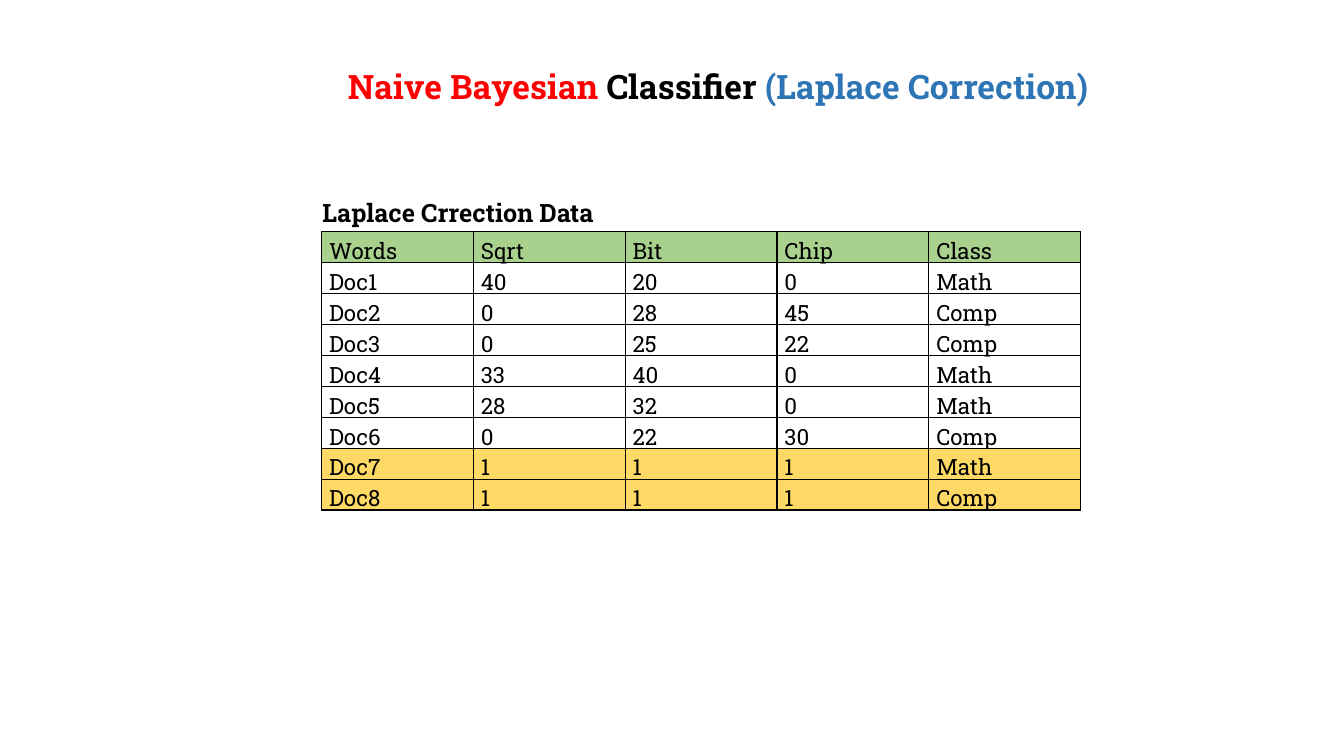
from lxml.etree import SubElement
from pptx import Presentation
from pptx.dml.color import RGBColor
from pptx.enum.text import MSO_AUTO_SIZE, PP_ALIGN
from pptx.oxml.ns import qn
from pptx.util import Pt

FONT = "Roboto Slab"
BLACK = RGBColor(0x00, 0x00, 0x00)
RED = RGBColor(0xFF, 0x00, 0x00)
BLUE = RGBColor(0x2E, 0x75, 0xB6)
GREEN = RGBColor(0xA9, 0xD1, 0x8E)
YELLOW = RGBColor(0xFF, 0xD9, 0x66)

TITLE = [("Naive Bayesian ", RED), ("Classifier ", BLACK), ("(Laplace Correction) ", BLUE)]
CAPTION = [("Laplace Crrection Data", BLACK)]
WORD_COUNTS = [
    ("Words", "Sqrt", "Bit", "Chip", "Class"),
    ("Doc1", 40, 20, 0, "Math"),
    ("Doc2", 0, 28, 45, "Comp"),
    ("Doc3", 0, 25, 22, "Comp"),
    ("Doc4", 33, 40, 0, "Math"),
    ("Doc5", 28, 32, 0, "Math"),
    ("Doc6", 0, 22, 30, "Comp"),
    ("Doc7", 1, 1, 1, "Math"),
    ("Doc8", 1, 1, 1, "Comp"),
]
ROW_FILLS = {0: GREEN, 7: YELLOW, 8: YELLOW}


def write_text(frame, parts, size=16, bold=False, align=PP_ALIGN.LEFT, spacing=1.15):
    """Write coloured (text, colour) parts as one paragraph."""
    paragraph = frame.paragraphs[0]
    paragraph.alignment = align
    paragraph.line_spacing = spacing
    for text, color in parts:
        run = paragraph.add_run()
        run.text = text
        run.font.name = FONT
        run.font.size = Pt(size)
        run.font.bold = bold
        run.font.color.rgb = color


def add_heading(slide, box, parts, **text_format):
    frame = slide.shapes.add_textbox(*map(Pt, box)).text_frame
    frame.word_wrap = True
    frame.auto_size = MSO_AUTO_SIZE.SHAPE_TO_FIT_TEXT
    write_text(frame, parts, **text_format)


def add_borders(cell):
    properties = cell._tc.get_or_add_tcPr()
    for position, side in enumerate(("lnL", "lnR", "lnT", "lnB")):
        border = SubElement(properties, qn(f"a:{side}"), w=str(Pt(1)))
        fill = SubElement(border, qn("a:solidFill"))
        SubElement(fill, qn("a:srgbClr"), val=str(BLACK))
        properties.insert(position, border)  # borders come before the fill


def add_word_counts(slide, box):
    left, top, width, height = box
    row_count, column_count = len(WORD_COUNTS), len(WORD_COUNTS[0])
    table = slide.shapes.add_table(row_count, column_count, *map(Pt, box)).table
    table.first_row = table.horz_banding = False
    for column in table.columns:
        column.width = Pt(width / column_count)
    for row_index, document in enumerate(WORD_COUNTS):
        table.rows[row_index].height = Pt(height / row_count)
        for column_index, value in enumerate(document):
            cell = table.cell(row_index, column_index)
            cell.margin_left = cell.margin_right = Pt(5.4)
            cell.margin_top = cell.margin_bottom = 0
            if row_index in ROW_FILLS:
                cell.fill.solid()
                cell.fill.fore_color.rgb = ROW_FILLS[row_index]
            else:
                cell.fill.background()
            add_borders(cell)
            write_text(cell.text_frame, [(str(value), BLACK)])


def main():
    presentation = Presentation()
    presentation.slide_width, presentation.slide_height = Pt(960), Pt(540)
    slide = presentation.slides.add_slide(presentation.slide_layouts[6])

    # Title
    add_heading(slide, (211.7, 38.9, 608.4, 38.2), TITLE,
                size=24, bold=True, align=PP_ALIGN.CENTER)
    # Word counts with the added Laplace rows
    add_word_counts(slide, (229.7, 165.6, 542.2, 186.5))
    # Table caption
    add_heading(slide, (223.2, 137.5, 276.5, 28.8), CAPTION,
                size=18, bold=True, spacing=1.0)

    presentation.save("out.pptx")


if __name__ == "__main__":
    main()
